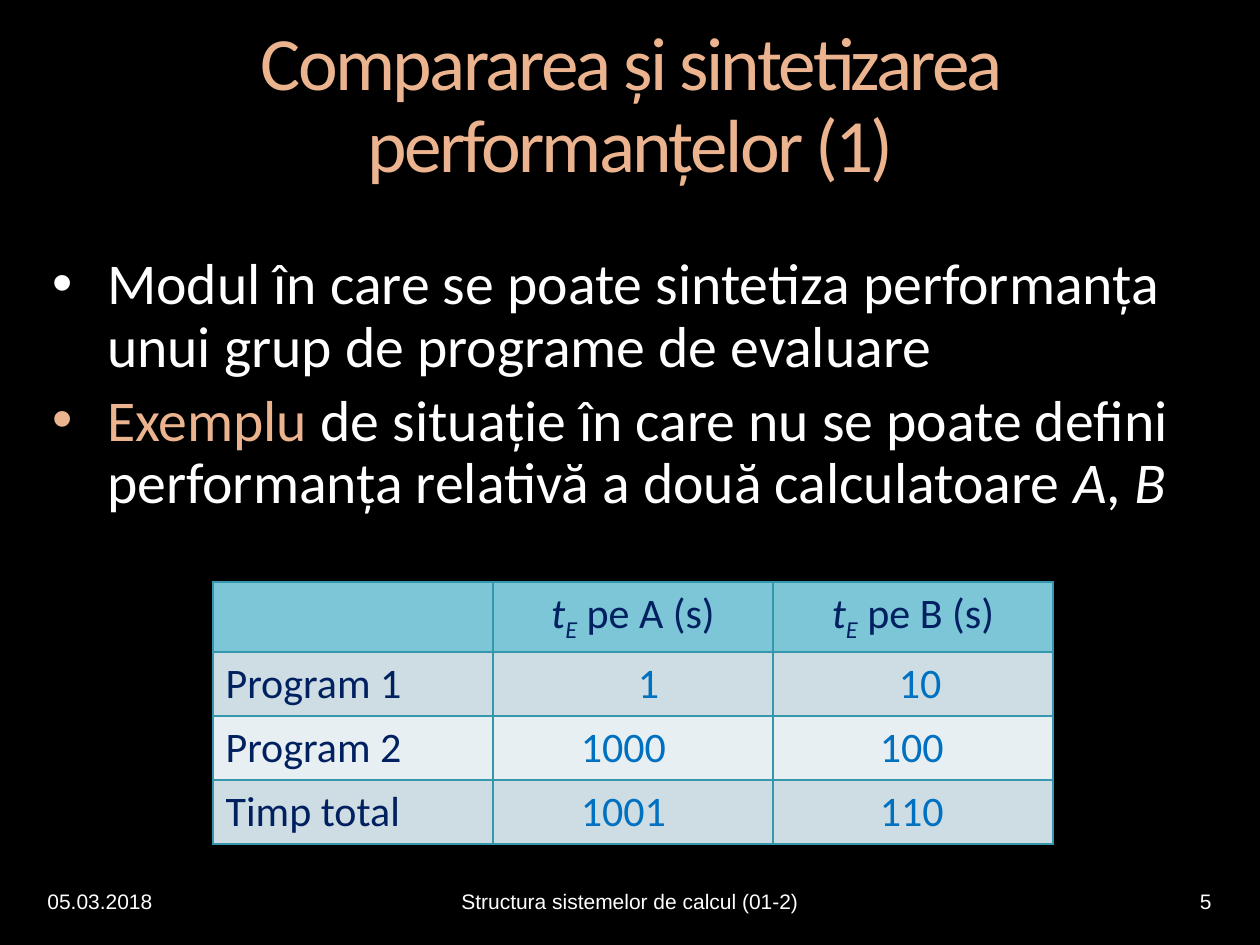
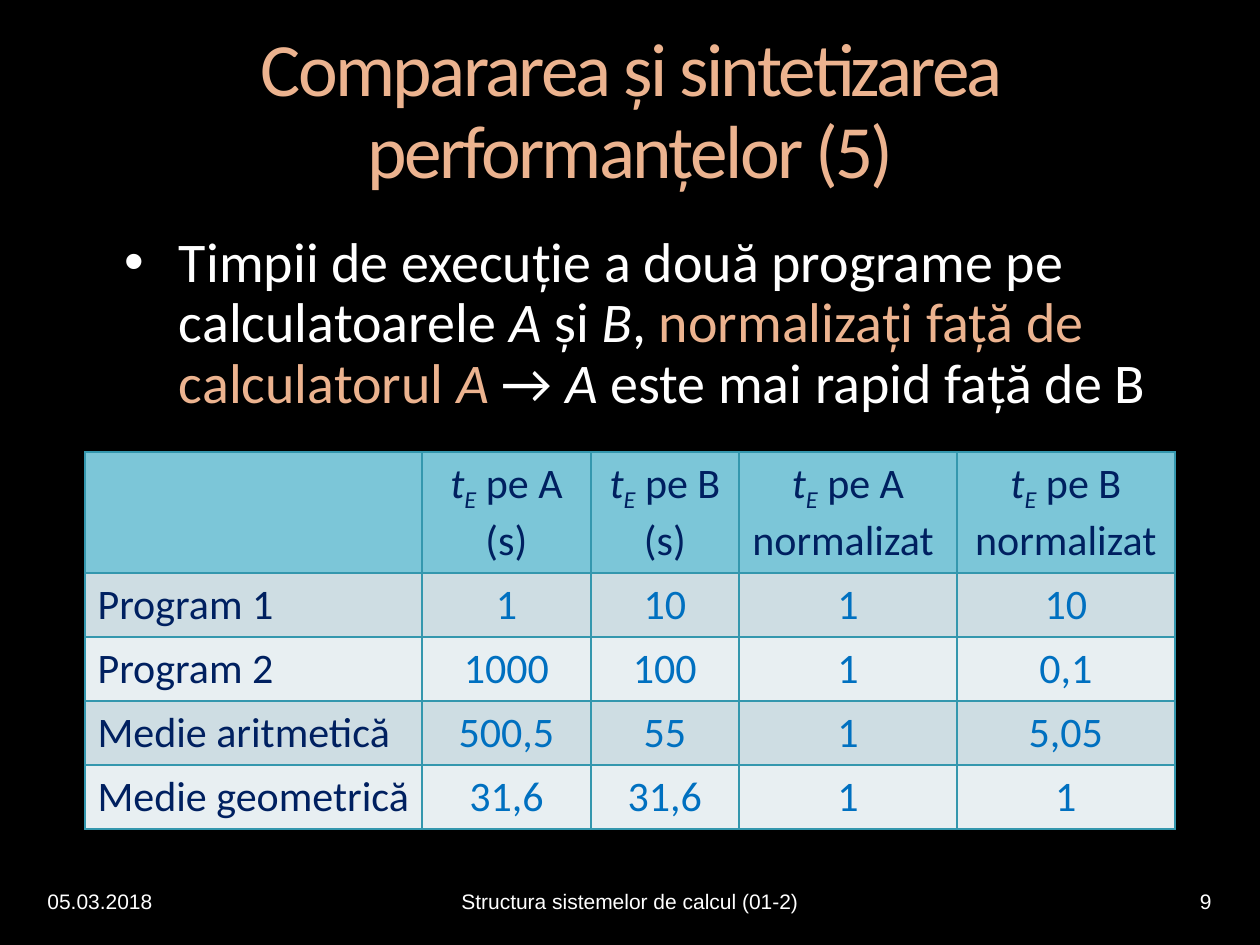
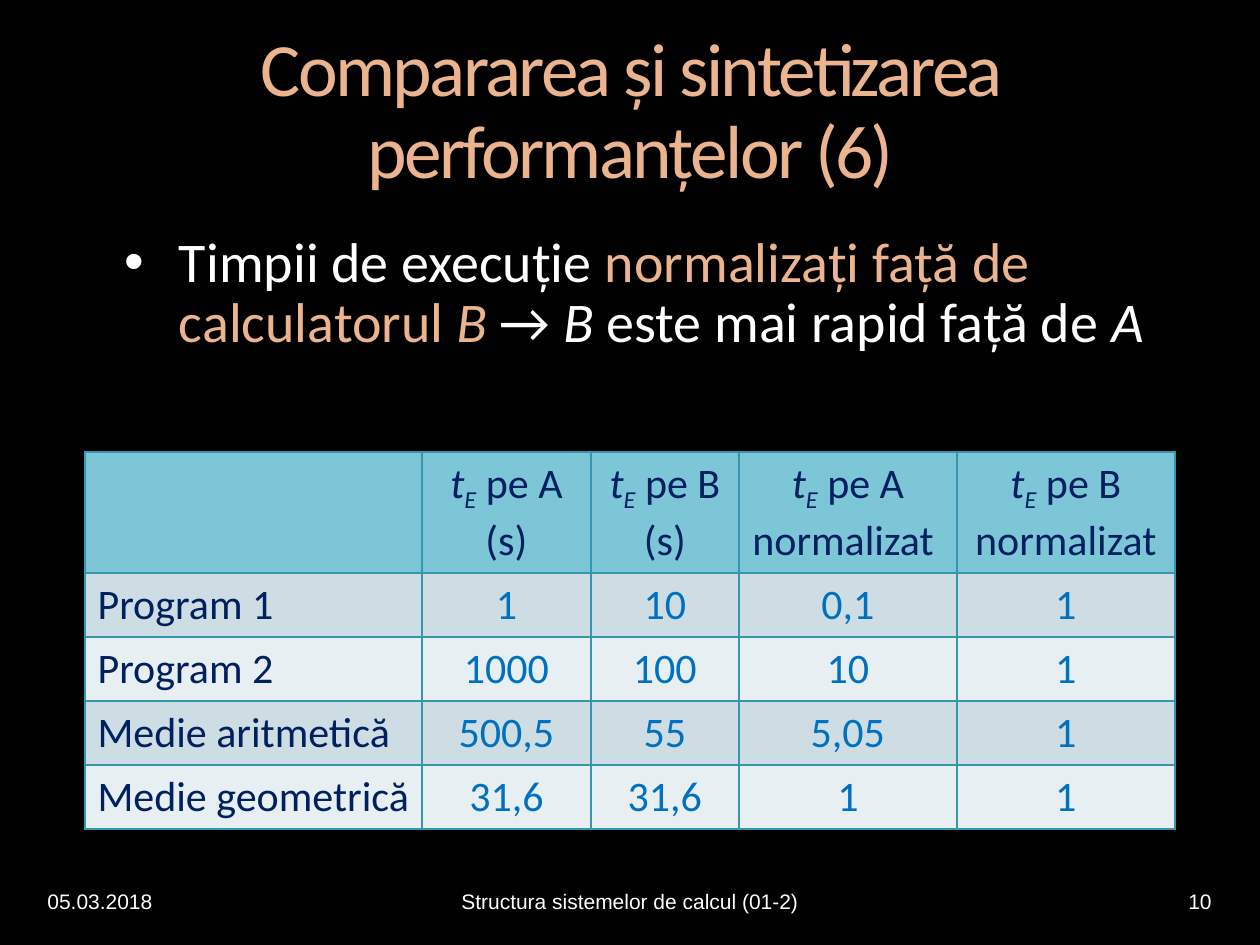
from lxml import etree
from pptx import Presentation
from pptx import util as u
from pptx.dml.color import RGBColor
from pptx.enum import text
from pptx.oxml import ns

INK = {
    "back": "000000",
    "text": "FFFFFF",
    "peach": "ECB38F",
    "head": "7CC6D8",
    "odd": "CEDDE3",
    "even": "E8EFF2",
    "edge": "3497AE",
    "navy": "002060",
    "blue": "0070C0",
}
LEFT = text.PP_ALIGN.LEFT
MID = text.PP_ALIGN.CENTER
RIGHT = text.PP_ALIGN.RIGHT
TITLE = "Compararea și sintetizarea performanțelor ({})"
COURSE = "Structura sistemelor de calcul (01-2)"
DATE = "05.03.2018"
FONT = "Calibri"
WIDE = [337, 169, 148, 218, 218]
HEADS = [" pe A (s)", " pe B (s)", " pe A normalizat ", " pe B normalizat"]


def px(n):
    return u.Emu(round(n * 914400 / 126))


def rgb(name):
    return RGBColor.from_string(INK[name])


def style(run, size, ink, font=FONT, slant=False):
    run.font.size = u.Pt(size)
    run.font.name = font
    run.font.bold = False
    run.font.italic = slant
    run.font.color.rgb = rgb(ink)


def fill_par(par, parts, size, ink):
    for words, marks in parts:
        run = par.add_run()
        run.text = words
        style(run, size, "peach" if "h" in marks else ink, slant="i" in marks)
        if "s" in marks:
            run.font._element.set("baseline", "-25000")


def add_box(slide, left, top, width, height, inset=True):
    box = slide.shapes.add_textbox(px(left), px(top), px(width), px(height))
    frame = box.text_frame
    frame.word_wrap = True
    if not inset:
        frame.margin_left = frame.margin_right = 0
        frame.margin_top = frame.margin_bottom = 0
    return frame


def add_title(slide, part, top):
    frame = add_box(slide, 53, top, 1155, 195 - top, inset=False)
    frame.text = TITLE.format(part)
    par = frame.paragraphs[0]
    par.alignment = MID
    par.line_spacing = 0.9
    style(par.runs[0], 43, "peach")
    par.runs[0].font._element.set("spc", "-150")


def add_list(slide, top, height, items, size, indent):
    frame = add_box(slide, 53, top, 1155, height, inset=False)
    for i, parts in enumerate(items):
        par = frame.add_paragraph() if i else frame.paragraphs[0]
        props = par._p.get_or_add_pPr()
        props.set("marL", str(px(indent)))
        props.set("indent", str(px(-54)))
        etree.SubElement(props, ns.qn("a:buFont")).set("typeface", "Arial")
        etree.SubElement(props, ns.qn("a:buChar")).set("char", "•")
        par.line_spacing = 0.9
        if i:
            par.space_before = u.Pt(size * 0.2)
        fill_par(par, parts, size, "text")


def add_foot(slide, number):
    for left, width, words, align in (
        (35, 297, DATE, LEFT),
        (431, 398, COURSE, MID),
        (927, 297, str(number), RIGHT),
    ):
        frame = add_box(slide, left, 876, width, 50)
        frame.vertical_anchor = text.MSO_ANCHOR.MIDDLE
        frame.text = words
        par = frame.paragraphs[0]
        par.alignment = align
        style(par.runs[0], 12, "text", "Arial")


def edge(cell):
    props = cell._tc.get_or_add_tcPr()
    for i, side in enumerate("LRTB"):
        line = etree.Element(ns.qn(f"a:ln{side}"), w=str(u.Pt(1)))
        paint = etree.SubElement(line, ns.qn("a:solidFill"))
        etree.SubElement(paint, ns.qn("a:srgbClr")).set("val", INK["edge"])
        props.insert(i, line)


def fill_cell(cell, parts, ink, shade, align):
    cell.fill.solid()
    cell.fill.fore_color.rgb = rgb(shade)
    edge(cell)
    par = cell.text_frame.paragraphs[0]
    par.alignment = align
    fill_par(par, parts, 24, ink)


def add_grid(slide, left, top, cols, head, heads, rows, step=False):
    deep = [head] + [64] * len(rows)
    frame = slide.shapes.add_table(
        len(deep), len(cols), px(left), px(top), px(sum(cols)), px(sum(deep))
    )
    table = frame.table
    table.first_row = table.horz_banding = False
    for col, width in zip(table.columns, cols):
        col.width = px(width)
    for row, height in zip(table.rows, deep):
        row.height = px(height)
    fill_cell(table.cell(0, 0), [], "navy", "head", LEFT)
    for c, words in enumerate(heads, 1):
        cell = table.cell(0, c)
        cell.vertical_anchor = text.MSO_ANCHOR.MIDDLE
        parts = [("t", "i"), ("E", "is"), (words, "")]
        fill_cell(cell, parts, "navy", "head", MID)
    for r, (label, *values) in enumerate(rows, 1):
        shade = "odd" if r % 2 else "even"
        fill_cell(table.cell(r, 0), [(label, "")], "navy", shade, LEFT)
        for c, value in enumerate(values, 1):
            cell = table.cell(r, c)
            align = LEFT if step else MID
            fill_cell(cell, [(value, "")], "blue", shade, align)
            if step:
                cell.margin_left = px(164 - 19 * len(value))


def add_means(slide, norms):
    times = [
        ("Program 1", "1", "10"),
        ("Program 2", "1000", "100"),
        ("Medie aritmetică", "500,5", "55"),
        ("Medie geometrică", "31,6", "31,6"),
    ]
    rows = [time + norm for time, norm in zip(times, norms)]
    add_grid(slide, 85, 452, WIDE, 121, HEADS, rows)


def add_page(deck, part, number, top):
    slide = deck.slides.add_slide(deck.slide_layouts[6])
    add_title(slide, part, top)
    add_foot(slide, number)
    return slide


def main():
    deck = Presentation()
    deck.slide_width, deck.slide_height = px(1260), px(945)
    back = deck.slide_master.background.fill
    back.solid()
    back.fore_color.rgb = rgb("back")

    slide = add_page(deck, 1, 5, 26)
    add_list(slide, 255, 350, [
        [("Modul în care se poate sintetiza performanța unui grup de "
          "programe de evaluare", "")],
        [("Exemplu ", "h"),
         ("de situație în care nu se poate defini performanța relativă "
          "a două calculatoare ", ""),
         ("A", "i"), (", ", ""), ("B", "i")],
    ], 33, 54)
    add_grid(slide, 213, 582, [280] * 3, 70, HEADS[:2], [
        ("Program 1", "1", "10"),
        ("Program 2", "1000", "100"),
        ("Timp total", "1001", "110"),
    ], step=True)

    slide = add_page(deck, 5, 9, 32)
    add_list(slide, 234, 183, [[
        ("Timpii de execuție a două programe pe calculatoarele ", ""),
        ("A", "i"), (" și ", ""), ("B", "i"), (", ", ""),
        ("normalizați față de calculatorul ", "h"), ("A ", "hi"),
        ("→ ", ""), ("A", "i"), (" este mai rapid față de B", ""),
    ]], 32, 126)
    add_means(slide, [("1", "10"), ("1", "0,1"), ("1", "5,05"), ("1", "1")])

    slide = add_page(deck, 6, 10, 32)
    add_list(slide, 234, 122, [[
        ("Timpii de execuție ", ""),
        ("normalizați față de calculatorul ", "h"), ("B ", "hi"),
        ("→ ", ""), ("B", "i"), (" este mai rapid față de ", ""), ("A", "i"),
    ]], 32, 126)
    add_means(slide, [("0,1", "1"), ("10", "1"), ("5,05", "1"), ("1", "1")])

    deck.save("out.pptx")


if __name__ == "__main__":
    main()
